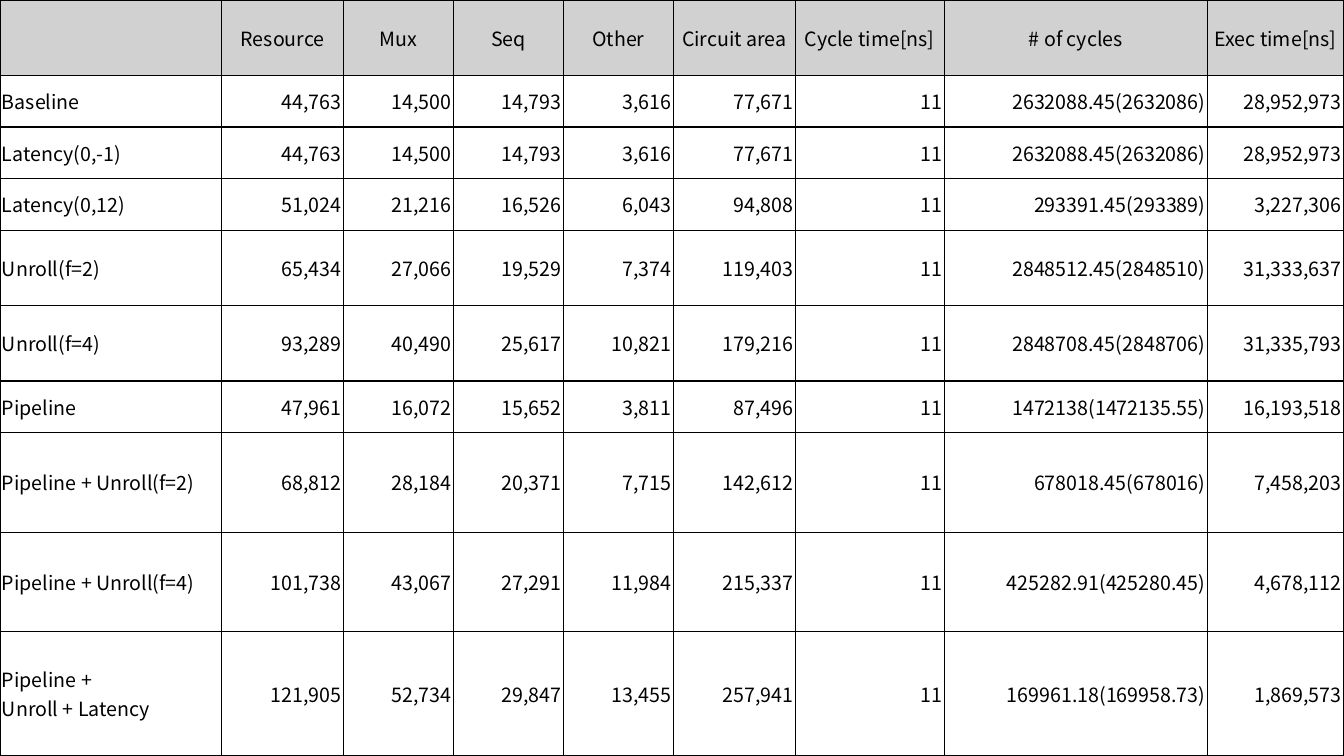
from dataclasses import dataclass

from lxml import etree
from pptx import Presentation
from pptx.dml.color import RGBColor
from pptx.enum.text import MSO_ANCHOR, PP_ALIGN
from pptx.oxml.ns import qn
from pptx.util import Cm, Pt

LEFT, CENTER, RIGHT = PP_ALIGN.LEFT, PP_ALIGN.CENTER, PP_ALIGN.RIGHT
MIDDLE = MSO_ANCHOR.MIDDLE

HEADER = ("", "Resource", "Mux", "Seq", "Other", "Circuit area",
          "Cycle time[ns]", "# of cycles", "Exec time[ns]")
RESULTS = [
    ("Baseline", "44,763", "14,500", "14,793", "3,616", "77,671",
     "11", "2632088.45(2632086)", "28,952,973"),
    ("Latency(0,-1)", "44,763", "14,500", "14,793", "3,616", "77,671",
     "11", "2632088.45(2632086)", "28,952,973"),
    ("Latency(0,12)", "51,024", "21,216", "16,526", "6,043", "94,808",
     "11", "293391.45(293389)", "3,227,306"),
    ("Unroll(f=2)", "65,434", "27,066", "19,529", "7,374", "119,403",
     "11", "2848512.45(2848510)", "31,333,637"),
    ("Unroll(f=4)", "93,289", "40,490", "25,617", "10,821", "179,216",
     "11", "2848708.45(2848706)", "31,335,793"),
    ("Pipeline", "47,961", "16,072", "15,652", "3,811", "87,496",
     "11", "1472138(1472135.55)", "16,193,518"),
    ("Pipeline + Unroll(f=2)", "68,812", "28,184", "20,371", "7,715", "142,612",
     "11", "678018.45(678016)", "7,458,203"),
    ("Pipeline + Unroll(f=4)", "101,738", "43,067", "27,291", "11,984", "215,337",
     "11", "425282.91(425280.45)", "4,678,112"),
    ("Pipeline + \vUnroll + Latency", "121,905", "52,734", "29,847", "13,455", "257,941",
     "11", "169961.18(169958.73)", "1,869,573"),
]
COLUMN_WIDTHS = (5.59, 3.07, 2.77, 2.77, 2.77, 3.07, 3.76, 6.63, 3.43)
ROW_HEIGHTS = (1.9, 1.3, 1.3, 1.3, 1.9, 1.9, 1.3, 2.51, 2.51, 3.12)


@dataclass(frozen=True)
class Theme:
    font: str = "Noto Sans CJK JP"
    size: Pt = Pt(14)
    text: RGBColor = RGBColor(0, 0, 0)
    header_fill: RGBColor = RGBColor(0xD1, 0xD1, 0xD1)
    border: str = "000000"
    border_width: Pt = Pt(1)


THEME = Theme()


def add_borders(cell):
    properties = cell._tc.get_or_add_tcPr()
    for position, side in enumerate(("a:lnL", "a:lnR", "a:lnT", "a:lnB")):
        line = etree.Element(qn(side), w=str(THEME.border_width))
        fill = etree.SubElement(line, qn("a:solidFill"))
        etree.SubElement(fill, qn("a:srgbClr"), val=THEME.border)
        properties.insert(position, line)


def fill_cell(cell, text, alignment, is_header):
    cell.margin_left = cell.margin_right = Cm(0.05)
    cell.margin_top = cell.margin_bottom = Cm(0.03)
    cell.vertical_anchor = MIDDLE
    if is_header:
        cell.fill.solid()
        cell.fill.fore_color.rgb = THEME.header_fill
    else:
        cell.fill.background()
    add_borders(cell)
    cell.text = text
    paragraph = cell.text_frame.paragraphs[0]
    paragraph.alignment = alignment
    paragraph.font.name = THEME.font
    paragraph.font.size = THEME.size
    paragraph.font.bold = False
    paragraph.font.color.rgb = THEME.text


def add_results_table(slide, width, height):
    rows = [HEADER, *RESULTS]
    frame = slide.shapes.add_table(len(rows), len(HEADER), 0, 0, width, height)
    table = frame.table
    table.first_row = table.horz_banding = False
    for column, column_width in zip(table.columns, COLUMN_WIDTHS):
        column.width = Cm(column_width)
    for row, row_height in zip(table.rows, ROW_HEIGHTS):
        row.height = Cm(row_height)
    for row_index, texts in enumerate(rows):
        is_header = row_index == 0
        for column_index, text in enumerate(texts):
            alignment = CENTER if is_header else RIGHT if column_index else LEFT
            fill_cell(table.cell(row_index, column_index), text, alignment, is_header)


def main():
    presentation = Presentation()
    presentation.slide_width = Cm(33.87)
    presentation.slide_height = Cm(19.05)
    slide = presentation.slides.add_slide(presentation.slide_layouts[6])
    add_results_table(slide, presentation.slide_width, presentation.slide_height)
    presentation.save("out.pptx")


if __name__ == "__main__":
    main()
